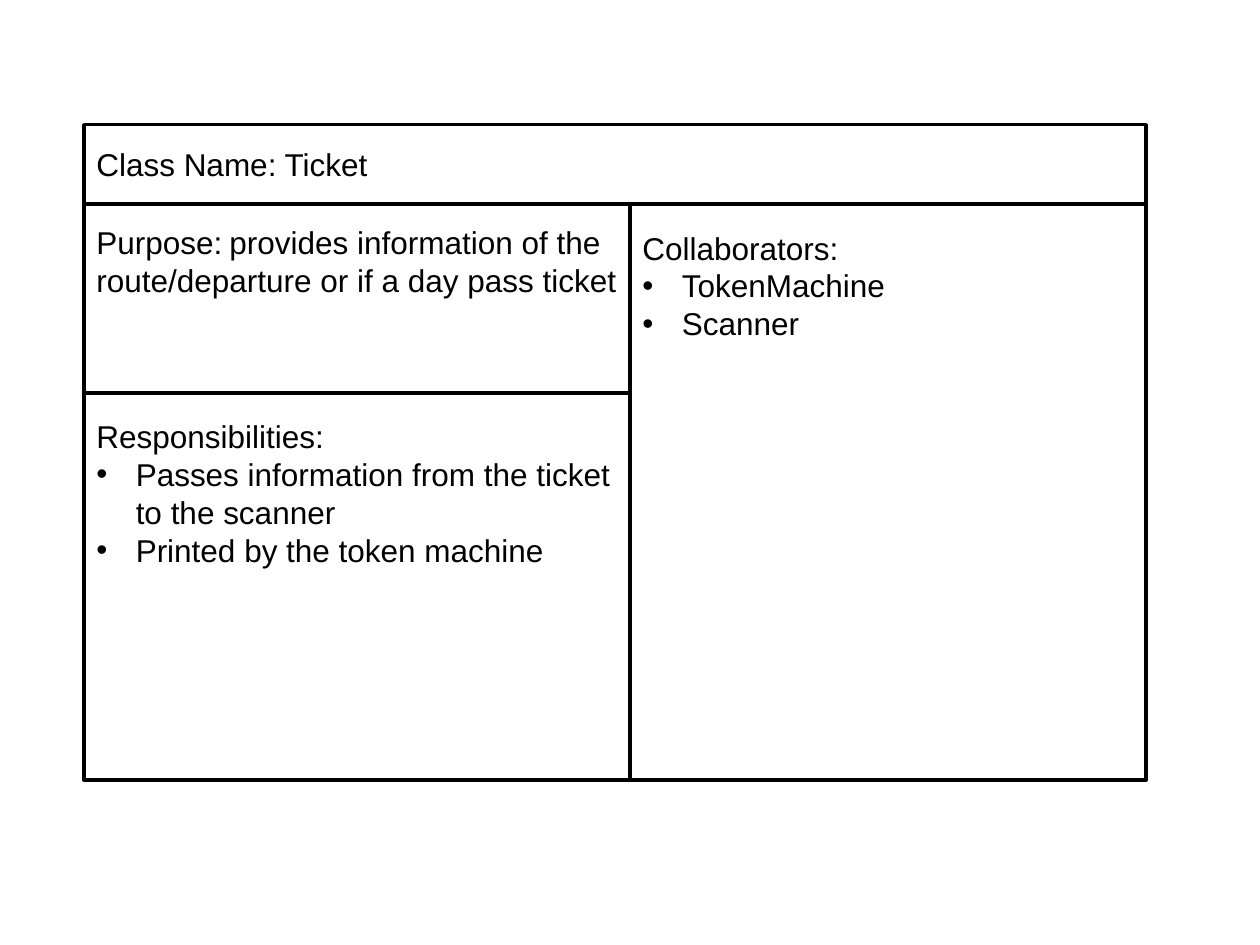
from lxml import etree
from pptx import Presentation
from pptx.dml.color import RGBColor
from pptx.enum.shapes import MSO_SHAPE
from pptx.enum.text import MSO_ANCHOR, PP_ALIGN
from pptx.oxml.ns import qn
from pptx.util import Pt

RECTANGLE = MSO_SHAPE.RECTANGLE
TOP, MIDDLE = MSO_ANCHOR.TOP, MSO_ANCHOR.MIDDLE
LEFT = PP_ALIGN.LEFT
COLORS = {"paper": "FFFFFF", "ink": "000000"}
FONT = "Arial"
BULLET_INDENT = 22.5


def color(name):
    return RGBColor.from_string(COLORS[name])


def add_bullet(paragraph):
    properties = paragraph._p.get_or_add_pPr()
    properties.set("marL", str(Pt(BULLET_INDENT)))
    properties.set("indent", str(-Pt(BULLET_INDENT)))
    bullet_font = etree.SubElement(properties, qn("a:buFont"))
    bullet_font.set("typeface", FONT)
    etree.SubElement(properties, qn("a:buChar")).set("char", "•")


def write(paragraph, text, size=18, ink="ink", bullet=False):
    if bullet:
        add_bullet(paragraph)
    paragraph.alignment = LEFT
    run = paragraph.add_run()
    run.text = text
    run.font.name = FONT
    run.font.size = Pt(size)
    run.font.color.rgb = color(ink)
    return run


def add_panel(slide, box, heading, items=(), anchor=TOP, inset=3.6):
    """Outlined panel with a heading and optional bullets; returns the heading."""
    panel = slide.shapes.add_shape(RECTANGLE, *map(Pt, box))
    panel.shadow.inherit = False
    panel.fill.solid()
    panel.fill.fore_color.rgb = color("paper")
    panel.line.color.rgb = color("ink")
    panel.line.width = Pt(2)

    frame = panel.text_frame
    frame.word_wrap = True
    frame.vertical_anchor = anchor
    frame.margin_left = frame.margin_right = Pt(7.2)
    frame.margin_top, frame.margin_bottom = Pt(inset), Pt(3.6)
    first = frame.paragraphs[0]
    write(first, heading)
    for item in items:
        write(frame.add_paragraph(), item, bullet=True)
    return first


def add_class_card(slide, left, top, width, height):
    name_height, purpose_height, left_width = 45.3, 108, 312
    body_top = top + name_height
    body_height = height - name_height
    duties_top = body_top + purpose_height

    # Purpose
    purpose = add_panel(slide, (left, body_top, left_width, purpose_height),
                        "Purpose:", inset=10.9)
    write(purpose, " ", size=14)
    write(purpose, "provides information of the route/departure "
                   "or if a day pass ticket")

    # Responsibilities
    add_panel(slide, (left, duties_top, left_width, body_height - purpose_height),
              "Responsibilities:",
              ["Passes information from the ticket to the scanner",
               "Printed by the token machine"], inset=13.8)

    # Collaborators
    add_panel(slide, (left + left_width, body_top, width - left_width, body_height),
              "Collaborators:", ["TokenMachine", "Scanner"], inset=14.1)

    # Class name
    add_panel(slide, (left, top, width, name_height),
              "Class Name: Ticket", anchor=MIDDLE)


def main():
    deck = Presentation()
    deck.slide_width, deck.slide_height = Pt(720), Pt(540)
    slide = deck.slides.add_slide(deck.slide_layouts[6])
    add_class_card(slide, left=48, top=71.3, width=607, height=374.4)
    deck.save("out.pptx")


if __name__ == "__main__":
    main()
